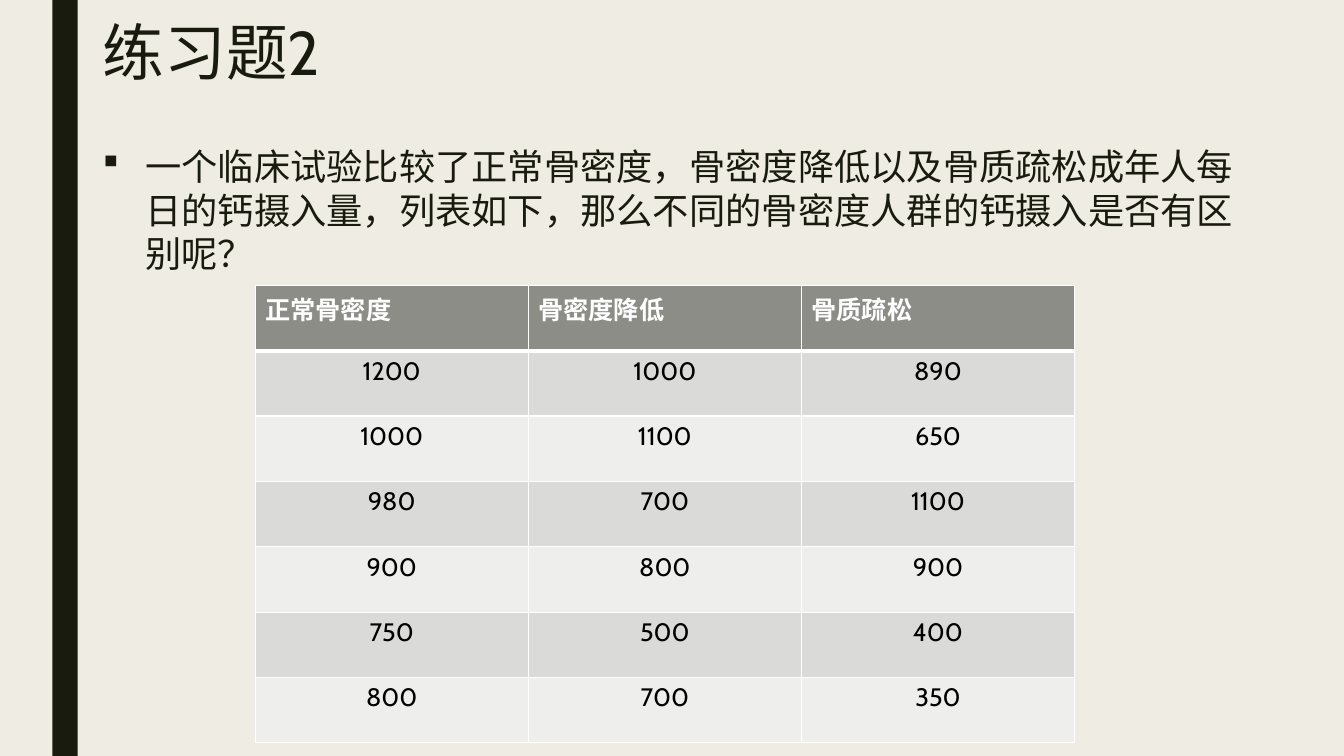
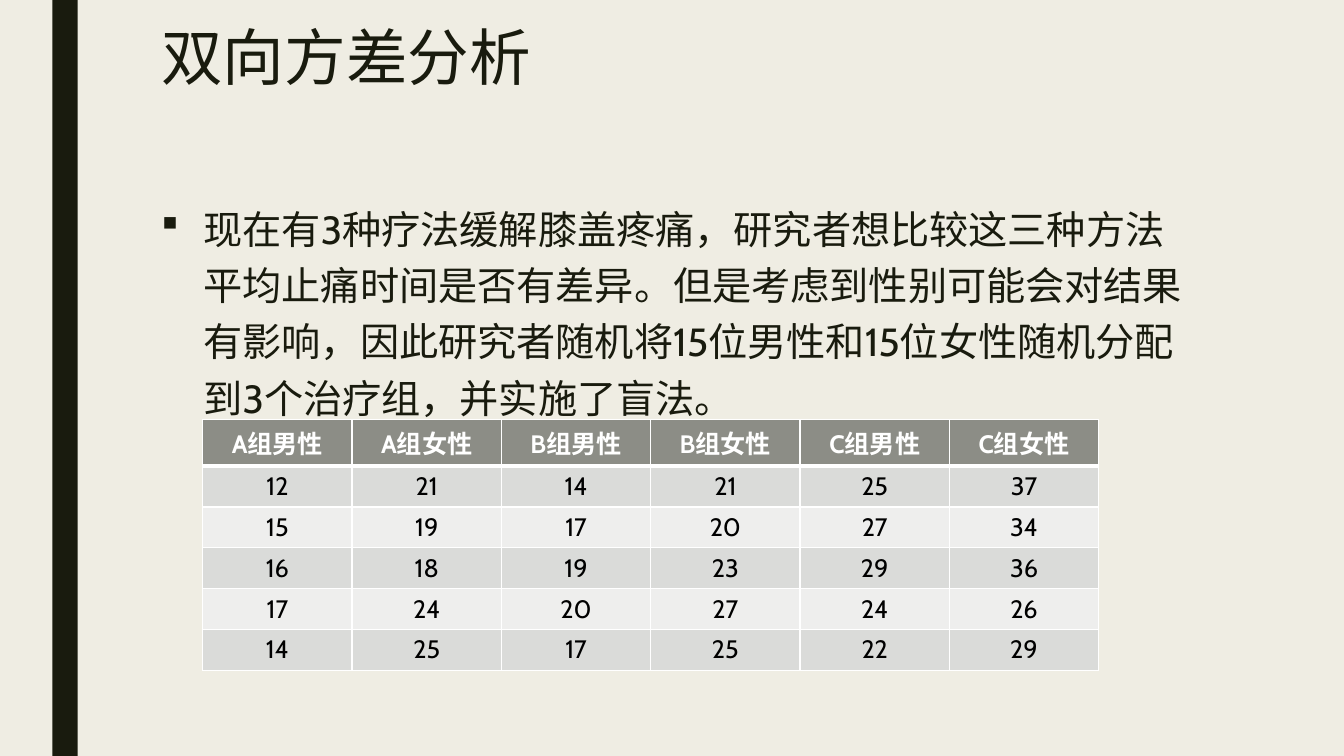
from dataclasses import dataclass

from lxml import etree
from pptx import Presentation
from pptx import util as u
from pptx.dml.color import RGBColor
from pptx.enum import lang, shapes, text
from pptx.oxml import ns

# Shared style
FONT = "Cabin"
PAPER, INK = "EFEDE3", "191B0E"
WHITE, BLACK = "FFFFFF", "000000"
HEADER_FILL = "8C8D86"
ROW_FILLS = ("DADBD9", "EEEEED")
TITLE_SIZE, CELL_SIZE = 44, 18
THIN, THICK = 1, 3
SLIDE_WIDTH, SLIDE_HEIGHT = u.Cm(33.87), u.Cm(19.05)
BULLET_INDENT = u.Cm(1.07)
LEFT, CENTER = text.PP_ALIGN.LEFT, text.PP_ALIGN.CENTER


@dataclass(frozen=True)
class Box:
    left: float
    top: float
    width: float
    height: float

    def lengths(self) -> tuple:
        return tuple(u.Cm(v) for v in (self.left, self.top, self.width, self.height))


@dataclass(frozen=True)
class Question:
    text: str
    box: Box
    size: float
    line_spacing: float


@dataclass(frozen=True)
class DataTable:
    header: tuple
    rows: tuple
    box: Box
    header_align: text.PP_ALIGN


@dataclass(frozen=True)
class Exercise:
    title: str
    title_box: Box
    question: Question
    table: DataTable


BAND = Box(1.32, 0, 0.64, 19.05)

EXERCISES = (
    Exercise(
        "练习题2",
        Box(2.34, 0.46, 29.21, 3.68),
        Question(
            "一个临床试验比较了正常骨密度，骨密度降低以及骨质疏松成年人每日的钙摄入量，"
            "列表如下，那么不同的骨密度人群的钙摄入是否有区别呢？",
            Box(2.34, 3.51, 29.21, 3.73), 25.9, 1.0,
        ),
        DataTable(
            ("正常骨密度", "骨密度降低", "骨质疏松"),
            (
                (1200, 1000, 890),
                (1000, 1100, 650),
                (980, 700, 1100),
                (900, 800, 900),
                (750, 500, 400),
                (800, 700, 350),
            ),
            Box(6.43, 7.19, 20.65, 11.53), LEFT,
        ),
    ),
    Exercise(
        "双向方差分析",
        Box(3.81, 0.58, 26.67, 4.11),
        Question(
            "现在有3种疗法缓解膝盖疼痛，研究者想比较这三种方法平均止痛时间是否有差异。"
            "但是考虑到性别可能会对结果有影响，因此研究者随机将15位男性和15位女性"
            "随机分配到3个治疗组，并实施了盲法。",
            Box(3.81, 4.8, 26.67, 9.96), 28, 1.2,
        ),
        DataTable(
            tuple(f"{group}组{sex}" for group in "ABC" for sex in ("男性", "女性")),
            (
                (12, 21, 14, 21, 25, 37),
                (15, 19, 17, 20, 27, 34),
                (16, 18, 19, 23, 29, 36),
                (17, 24, 20, 27, 24, 26),
                (14, 25, 17, 25, 22, 29),
            ),
            Box(5.11, 10.57, 22.58, 6.17), CENTER,
        ),
    ),
)


# Helpers
def paint(fill, color: str) -> None:
    fill.solid()
    fill.fore_color.rgb = RGBColor.from_string(color)


def add_run(paragraph, words: str, size: float, color: str, bold: bool = False) -> None:
    run = paragraph.add_run()
    run.text = words
    font = run.font
    font.name, font.size, font.bold = FONT, u.Pt(size), bold
    font.language_id = lang.MSO_LANGUAGE_ID.SIMPLIFIED_CHINESE
    font.color.rgb = RGBColor.from_string(color)


def place(shape, box: Box) -> None:
    shape.left, shape.top, shape.width, shape.height = box.lengths()


def prepare_frame(shape):
    frame = shape.text_frame
    frame.word_wrap = True
    frame.auto_size = text.MSO_AUTO_SIZE.NONE
    frame.vertical_anchor = text.MSO_ANCHOR.TOP
    paragraph = frame.paragraphs[0]
    paragraph.alignment = LEFT
    return paragraph


def add_bullet(paragraph) -> None:
    properties = paragraph._p.get_or_add_pPr()
    properties.set("marL", str(BULLET_INDENT))
    properties.set("indent", str(-BULLET_INDENT))
    etree.SubElement(properties, ns.qn("a:buFont"), typeface="Wingdings", charset="2")
    etree.SubElement(properties, ns.qn("a:buChar"), char="§")


def add_borders(cell, top: float, bottom: float) -> None:
    properties = cell._tc.get_or_add_tcPr()
    for side, width in (("L", THIN), ("R", THIN), ("T", top), ("B", bottom)):
        line = etree.SubElement(properties, ns.qn(f"a:ln{side}"), w=str(u.Pt(width)))
        fill = etree.SubElement(line, ns.qn("a:solidFill"))
        etree.SubElement(fill, ns.qn("a:srgbClr"), val=WHITE)


# Slide parts
def draw_band(slide) -> None:
    band = slide.shapes.add_shape(shapes.MSO_SHAPE.RECTANGLE, *BAND.lengths())
    band.shadow.inherit = False
    paint(band.fill, INK)
    band.line.fill.background()


def draw_title(slide, words: str, box: Box) -> None:
    title = slide.shapes.title
    place(title, box)
    paragraph = prepare_frame(title)
    paragraph.line_spacing = 0.89
    add_run(paragraph, words, TITLE_SIZE, INK)


def draw_question(slide, question: Question) -> None:
    paragraph = prepare_frame(slide.shapes.add_textbox(*question.box.lengths()))
    paragraph.line_spacing = question.line_spacing
    paragraph.space_before, paragraph.space_after = u.Pt(10), u.Pt(2)
    add_bullet(paragraph)
    add_run(paragraph, question.text, question.size, INK)


def draw_table(slide, data: DataTable) -> None:
    rows = (data.header, *data.rows)
    table = slide.shapes.add_table(
        len(rows), len(data.header), *data.box.lengths()
    ).table
    for row_index, values in enumerate(rows):
        is_header = row_index == 0
        fill = HEADER_FILL if is_header else ROW_FILLS[(row_index - 1) % 2]
        for column_index, value in enumerate(values):
            cell = table.cell(row_index, column_index)
            add_borders(
                cell,
                top=THICK if row_index == 1 else THIN,
                bottom=THICK if is_header else THIN,
            )
            paint(cell.fill, fill)
            paragraph = cell.text_frame.paragraphs[0]
            paragraph.alignment = data.header_align if is_header else CENTER
            add_run(paragraph, str(value), CELL_SIZE,
                    WHITE if is_header else BLACK, bold=is_header)


# Build the presentation
presentation = Presentation()
presentation.slide_width, presentation.slide_height = SLIDE_WIDTH, SLIDE_HEIGHT
paint(presentation.slide_master.background.fill, PAPER)
title_only = presentation.slide_layouts[5]

for exercise in EXERCISES:
    slide = presentation.slides.add_slide(title_only)
    draw_band(slide)
    draw_title(slide, exercise.title, exercise.title_box)
    draw_question(slide, exercise.question)
    draw_table(slide, exercise.table)

presentation.save("out.pptx")
